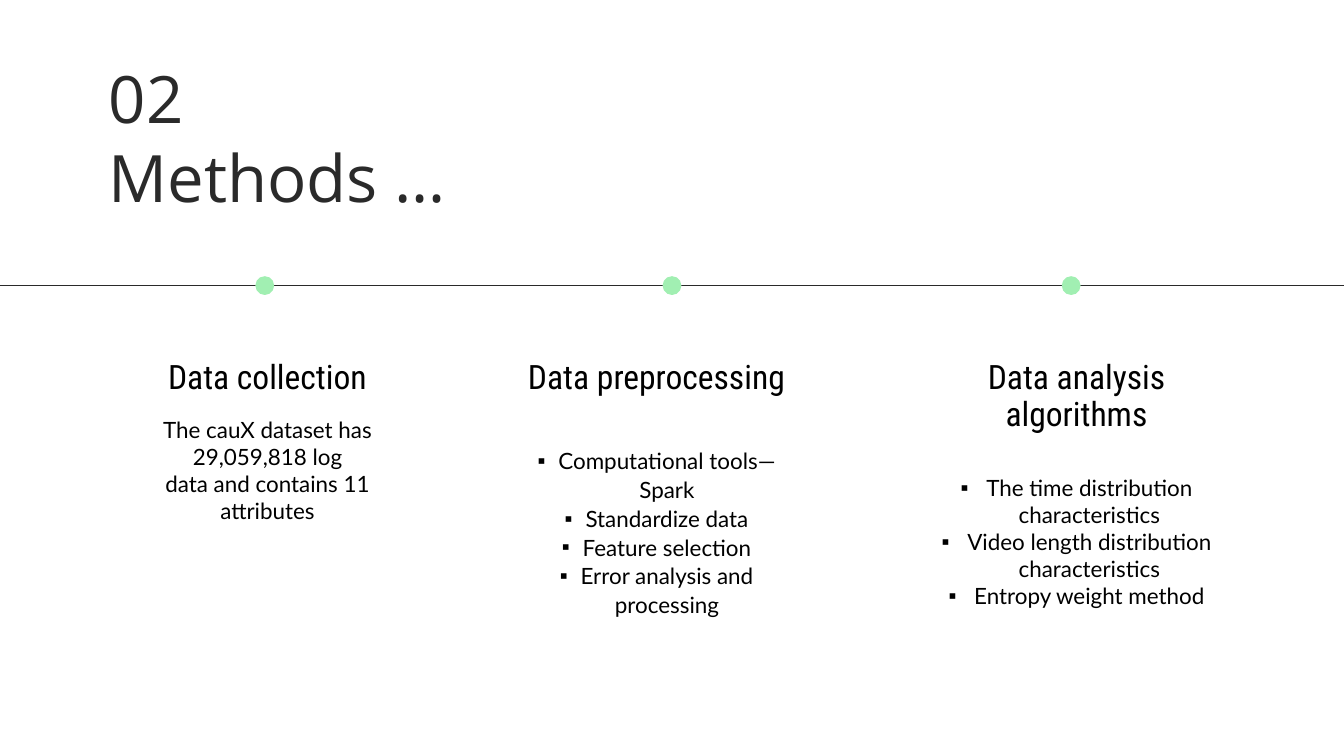
from lxml.etree import SubElement
from pptx import Presentation
from pptx.dml.color import RGBColor
from pptx.enum.shapes import MSO_CONNECTOR, MSO_SHAPE
from pptx.enum.text import MSO_ANCHOR, MSO_AUTO_SIZE, PP_ALIGN
from pptx.oxml.ns import qn
from pptx.util import Inches, Pt

COLORS = {"ink": "2A2A2A", "text": "000000", "dot": "A1EFB2"}
FORMATS = {
    "title": {"name": "Open Sans", "size": Pt(70), "color": "ink"},
    "heading": {"name": "Roboto Condensed", "size": Pt(36), "color": "text"},
    "body": {"name": "Lato", "size": Pt(24), "color": "text"},
}
FRAME = {"margin_left": 0, "margin_top": 0, "margin_right": 0, "margin_bottom": 0,
         "word_wrap": True, "auto_size": MSO_AUTO_SIZE.NONE,
         "vertical_anchor": MSO_ANCHOR.TOP}

WIDTH, HEIGHT = 20, 11.25
LINE_Y, DOT = 4.25, 0.28
HEADING_Y = 5.35

STEPS = [
    {"dot": 3.94, "left": 2.29, "width": 3.38, "heading": "Data collection",
     "top": 6.19, "items": ["The cauX dataset has 29,059,818 log",
                            "data and contains 11 attributes"]},
    {"dot": 10, "left": 7.75, "width": 4.04, "heading": "Data preprocessing",
     "top": 6.63, "indent": 0.31, "spacing": Pt(30.8),
     "items": ["Computational tools—Spark", "Standardize data",
               "Feature selection", "Error analysis and processing"]},
    {"dot": 15.94, "left": 14, "width": 4.04, "heading": "Data analysis algorithms",
     "top": 7.06, "indent": 0.38,
     "items": ["The time distribution characteristics",
               "Video length distribution characteristics",
               "Entropy weight method"]},
]


def color(name):
    return RGBColor.from_string(COLORS[name])


def add_bullet(p, indent):
    pPr = p._p.get_or_add_pPr()
    pPr.set("marL", str(Inches(indent)))
    pPr.set("indent", str(-Inches(indent)))
    SubElement(pPr, qn("a:buFont"), typeface="Arial")
    SubElement(pPr, qn("a:buChar"), char="▪")


def write(sp, lines, style, align=PP_ALIGN.CENTER, spacing=None, indent=0):
    """Fill a shape with one paragraph per line, bulleted if indented."""
    tf = sp.text_frame
    for key, value in FRAME.items():
        setattr(tf, key, value)
    for i, line in enumerate(lines):
        p = tf.paragraphs[0] if i == 0 else tf.add_paragraph()
        p.alignment = align
        p.space_before = Pt(0)
        if spacing:
            p.line_spacing = spacing
        if indent:
            add_bullet(p, indent)
        r = p.add_run()
        r.text = line
        for key, value in FORMATS[style].items():
            if key == "color":
                r.font.color.rgb = color(value)
            else:
                setattr(r.font, key, value)


def add_title(s):
    sp = s.shapes.title
    sp.left, sp.top, sp.width, sp.height = map(Inches, (1.12, 0.87, 15.53, 2.36))
    write(sp, ["02", "Methods …"], "title", PP_ALIGN.LEFT, Pt(84))
    sp.text_frame.paragraphs[0]._p.get_or_add_pPr().set("marL", str(Inches(0.5)))


def add_timeline(s):
    line = s.shapes.add_connector(MSO_CONNECTOR.STRAIGHT, 0, Inches(LINE_Y),
                                  Inches(WIDTH), Inches(LINE_Y))
    line.line.color.rgb = color("ink")
    line.line.width = Pt(0.75)
    SubElement(line._element.spPr, qn("a:effectLst"))


def add_dot(s, x):
    sp = s.shapes.add_shape(MSO_SHAPE.OVAL, Inches(x - DOT / 2),
                            Inches(LINE_Y - DOT / 2), Inches(DOT), Inches(DOT))
    sp.shadow.inherit = False
    sp.fill.solid()
    sp.fill.fore_color.rgb = color("dot")
    sp.line.fill.background()


def add_text(s, left, top, width, height, lines, style, **layout):
    sp = s.shapes.add_textbox(*map(Inches, (left, top, width, height)))
    write(sp, lines, style, **layout)


def add_step(s, step):
    left, top, width = step["left"], step["top"], step["width"]
    add_dot(s, step["dot"])
    add_text(s, left, HEADING_Y, width, 1.12 if width > 4 else 0.56,
             [step["heading"]], "heading", spacing=Pt(39.6))
    add_text(s, left, top, width, 1.62 if width < 4 else 2.5, step["items"], "body",
             spacing=step.get("spacing"), indent=step.get("indent", 0))


def main():
    prs = Presentation()
    prs.slide_width, prs.slide_height = Inches(WIDTH), Inches(HEIGHT)
    s = prs.slides.add_slide(prs.slide_layouts[5])
    add_timeline(s)
    add_title(s)
    for step in STEPS:
        add_step(s, step)
    prs.save("out.pptx")


if __name__ == "__main__":
    main()
